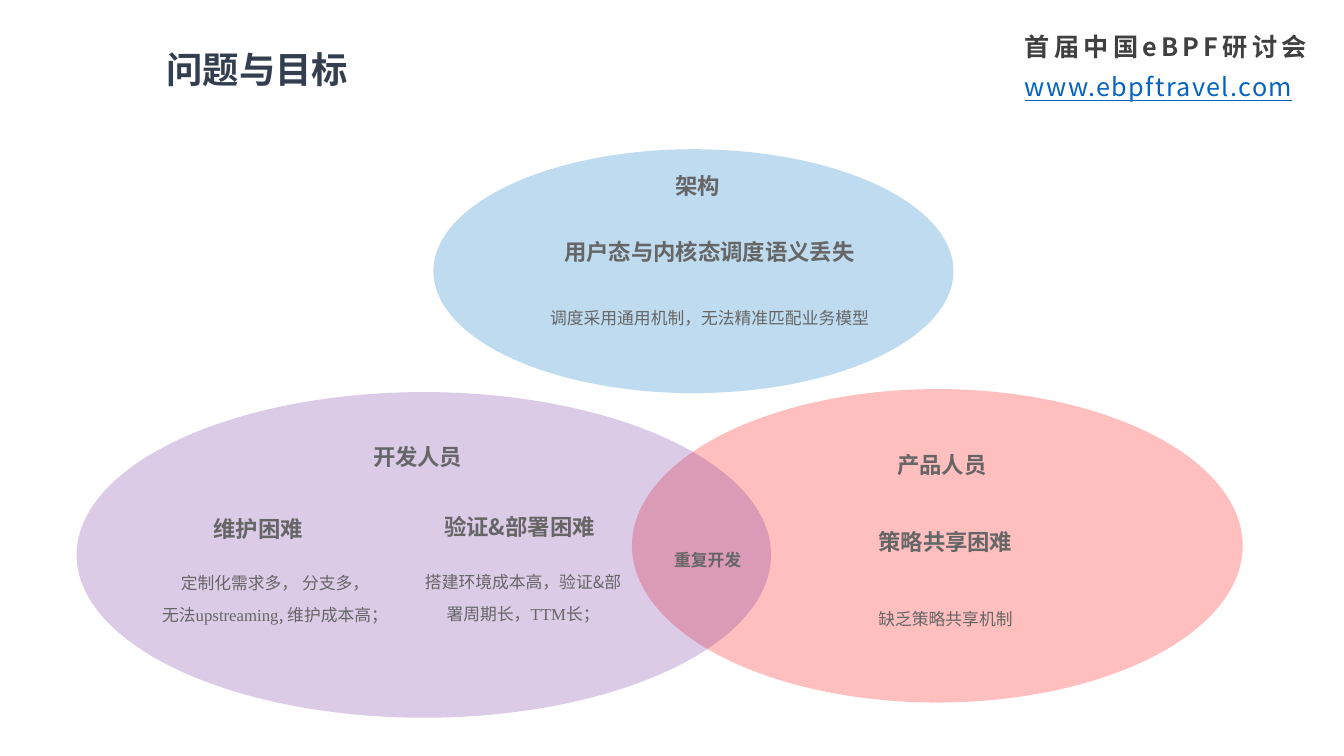
from dataclasses import dataclass

from lxml import etree
from pptx import Presentation
from pptx.dml.color import RGBColor
from pptx.enum.shapes import MSO_SHAPE
from pptx.enum.text import MSO_ANCHOR, MSO_AUTO_SIZE, PP_ALIGN
from pptx.oxml.ns import qn
from pptx.util import Pt

ELLIPSE = MSO_SHAPE.OVAL
TOP, MIDDLE = MSO_ANCHOR.TOP, MSO_ANCHOR.MIDDLE
LEFT, CENTER = PP_ALIGN.LEFT, PP_ALIGN.CENTER
NO_AUTOFIT = MSO_AUTO_SIZE.NONE

SANS = "Noto Sans CJK SC"
SERIF = "Times New Roman"

RED = RGBColor(0xFF, 0x00, 0x00)
PURPLE = RGBColor(0x70, 0x30, 0xA0)
BLUE = RGBColor(0x00, 0x70, 0xC0)
GREY = RGBColor(0x66, 0x66, 0x66)
DARK_GREY = RGBColor(0x40, 0x40, 0x40)
NAVY = RGBColor(0x33, 0x3F, 0x50)
LINK_BLUE = RGBColor(0x05, 0x63, 0xC1)

OPACITY = 25
INSETS = 7.2  # top and bottom insets of a text box together


@dataclass(frozen=True)
class Oval:
    left: float
    top: float
    width: float
    height: float
    color: RGBColor


@dataclass(frozen=True)
class Style:
    size: float
    leading: float
    bold: bool


@dataclass(frozen=True)
class Label:
    left: float
    top: float
    width: float
    text: str
    style: Style
    align: PP_ALIGN = CENTER
    lines: int = 1


HEADING = Style(16, 27, True)
BODY = Style(12, 23, False)
OVERLAP = Style(12, 23, True)

OVALS = [
    Oval(451.4, 277.9, 436.3, 223.9, RED),
    Oval(54.7, 280.1, 496.1, 232.6, PURPLE),
    Oval(309.6, 106.6, 371.5, 174.2, BLUE),
]

LABELS = [
    # Architecture
    Label(442.1, 111.6, 113, "架构", HEADING),
    Label(379.4, 158.4, 254.9, "用户态与内核态调度语义丢失", HEADING),
    Label(385.2, 207.4, 243.4, "调度采用通用机制，无法精准匹配业务模型", BODY),
    # Developers
    Label(241.9, 305.3, 113, "开发人员", HEADING),
    Label(145.4, 356.4, 113, "维护困难", HEADING, LEFT),
    Label(105.8, 396.7, 181.4,
          "定制化需求多， 分支多，\n无法|upstreaming|, 维护成本高；", BODY, lines=2),
    Label(310.3, 355, 146.9, "验证&部署困难", HEADING, LEFT),
    Label(295.9, 396, 155.5,
          "搭建环境成本高，验证&部署周期长，|TTM|长；", BODY, lines=2),
    # Shared by developers and product staff
    Label(383.8, 380.2, 243.4, "重复开发", OVERLAP),
    # Product staff
    Label(616.3, 311, 113, "产品人员", HEADING),
    Label(547.9, 365.8, 254.9, "策略共享困难", HEADING),
    Label(553.7, 422.6, 243.4, "缺乏策略共享机制", BODY),
]


def place(sp, left: float, top: float, width: float, height: float) -> None:
    sp.left, sp.top, sp.width, sp.height = map(Pt, (left, top, width, height))


def write(sp, text: str, *, size: float, color: RGBColor, bold: bool = False,
          underline: bool = False, align: PP_ALIGN = LEFT, leading=None,
          tracking: float = 0, anchor: MSO_ANCHOR = TOP) -> None:
    """Fill a shape with text: newlines part paragraphs, bars enclose serif words."""
    tf = sp.text_frame
    tf.word_wrap = True
    tf.auto_size = NO_AUTOFIT
    tf.vertical_anchor = anchor
    for i, line in enumerate(text.split("\n")):
        p = tf.add_paragraph() if i else tf.paragraphs[0]
        p.alignment = align
        p.line_spacing = leading
        for j, piece in enumerate(line.split("|")):
            r = p.add_run()
            r.text = piece
            font = r.font
            font.size, font.bold, font.underline = Pt(size), bold, underline
            font.color.rgb = color
            font.name = SERIF if j % 2 else SANS
            r_pr = r._r.get_or_add_rPr()
            etree.SubElement(r_pr, qn("a:ea")).set("typeface", font.name)
            if tracking:
                r_pr.set("spc", str(int(tracking * 100)))


def add_oval(slide, oval: Oval) -> None:
    sp = slide.shapes.add_shape(ELLIPSE, 0, 0, 0, 0)
    place(sp, oval.left, oval.top, oval.width, oval.height)
    sp.shadow.inherit = False
    sp.line.fill.background()
    sp.fill.solid()
    sp.fill.fore_color.rgb = oval.color
    color = sp._element.spPr.find(".//" + qn("a:srgbClr"))
    etree.SubElement(color, qn("a:alpha")).set("val", str(OPACITY * 1000))


def add_label(slide, label: Label) -> None:
    style = label.style
    sp = slide.shapes.add_textbox(0, 0, 0, 0)
    place(sp, label.left, label.top, label.width,
          label.lines * style.leading + INSETS)
    write(sp, label.text, size=style.size, color=GREY, bold=style.bold,
          align=label.align, leading=Pt(style.leading))


def add_header(slide, top: float, text: str, **fmt) -> None:
    sp = slide.shapes.add_textbox(0, 0, 0, 0)
    place(sp, 725, top, 231, 28.8)
    write(sp, text, size=18, anchor=MIDDLE, **fmt)


def main() -> None:
    prs = Presentation()
    prs.slide_width, prs.slide_height = Pt(960), Pt(540)
    slide = prs.slides.add_slide(prs.slide_layouts[5])

    add_header(slide, 18.7, "首届中国eBPF研讨会", color=DARK_GREY, bold=True,
               tracking=3)
    add_header(slide, 47.5, "www.ebpftravel.com", color=LINK_BLUE,
               underline=True, tracking=1)

    title = slide.shapes.title
    place(title, 111.6, 33.8, 606.2, 35.3)
    write(title, "问题与目标", size=26, color=NAVY, bold=True, leading=0.9,
          anchor=MIDDLE)

    for oval in OVALS:
        add_oval(slide, oval)
    for label in LABELS:
        add_label(slide, label)

    prs.save("out.pptx")


if __name__ == "__main__":
    main()
